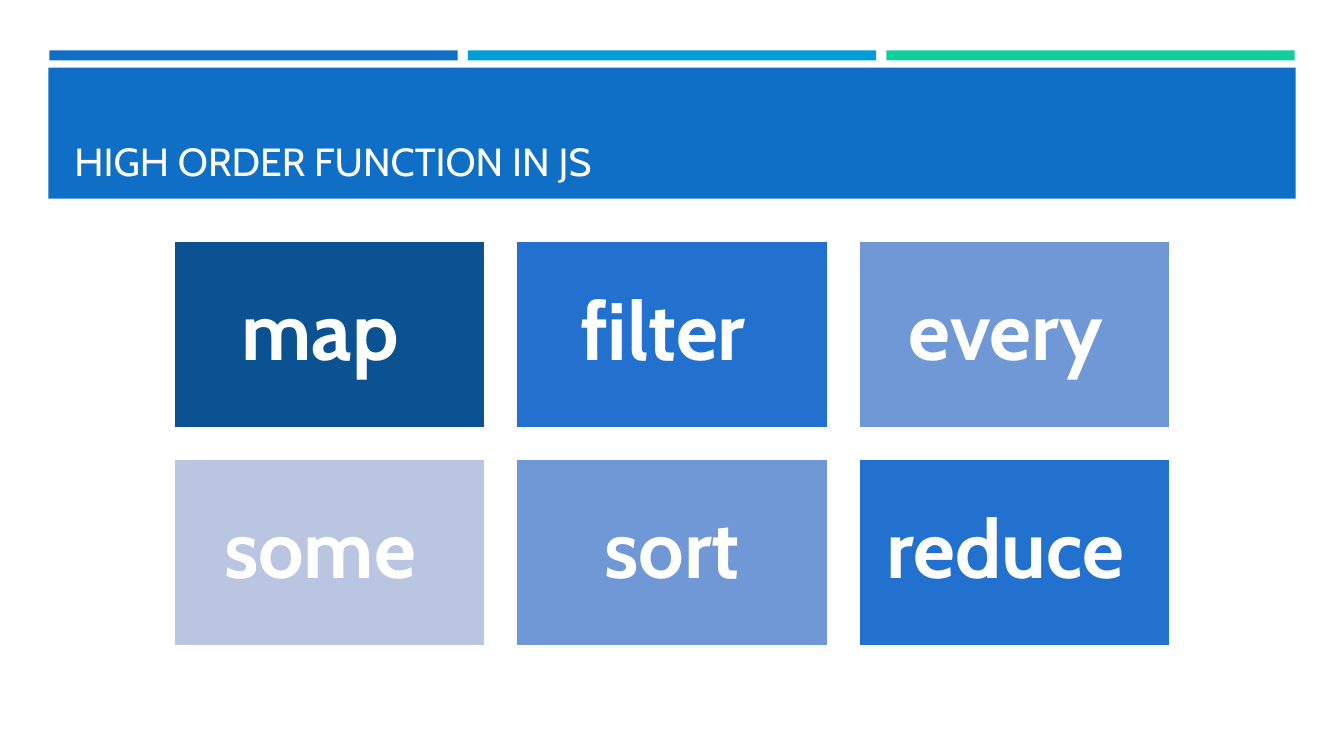
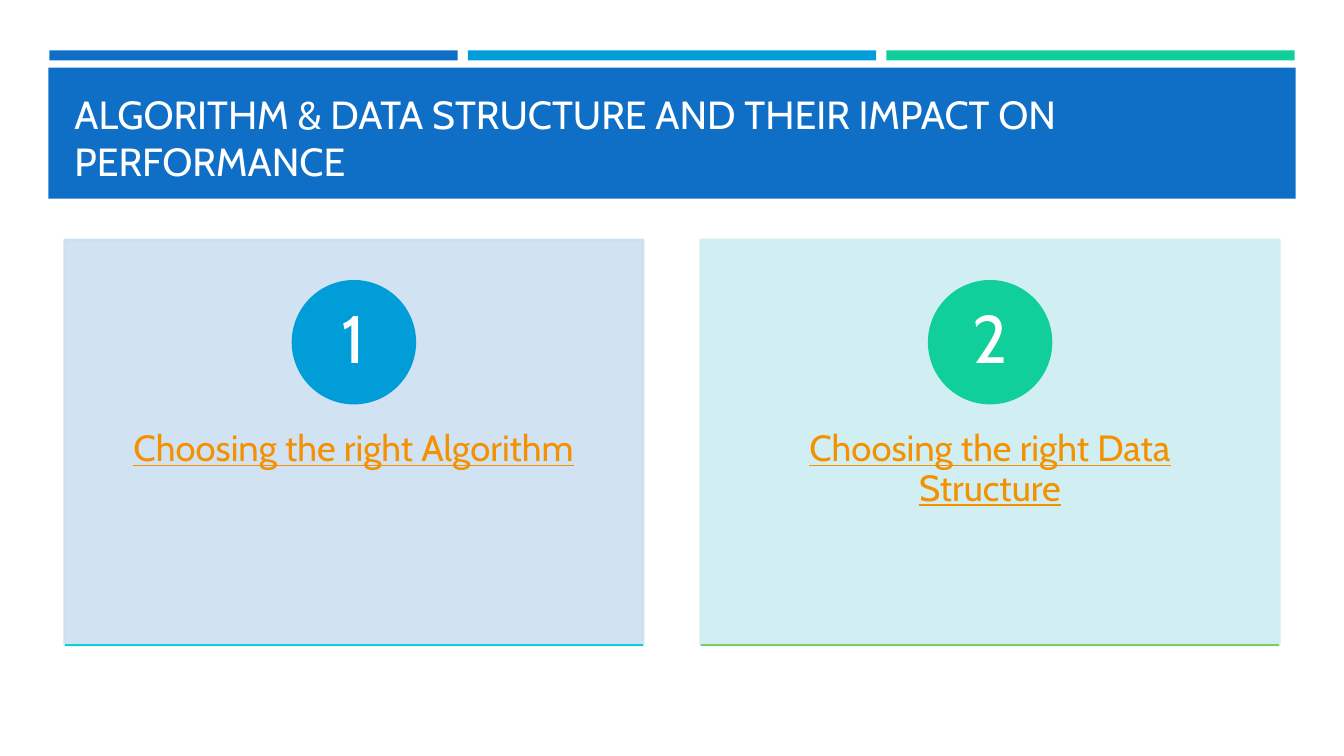
from dataclasses import dataclass
from typing import Any, Iterator, NamedTuple, Optional

from pptx import Presentation
from pptx.dml.color import RGBColor as Color
from pptx.enum.shapes import MSO_CONNECTOR as Connector, MSO_SHAPE as Preset
from pptx.enum.text import MSO_ANCHOR as Anchor, PP_ALIGN as Align
from pptx.oxml.ns import qn
from pptx.oxml.xmlchemy import OxmlElement
from pptx.slide import Slide
from pptx.util import Inches, Pt


@dataclass(frozen=True)
class Theme:
    """Colours, font, type sizes and line width of the deck."""

    blue: str = "0F6FC6"
    sky: str = "009DD9"
    green: str = "10CF9B"
    white: str = "FFFFFF"
    navy: str = "0B5292"
    royal: str = "2371CF"
    periwinkle: str = "7097D6"
    mist: str = "B9C5E1"
    pale_blue: str = "CCDFF1"
    pale_teal: str = "CCEEF1"
    cyan: str = "0BD0D9"
    leaf: str = "7CCA62"
    orange: str = "F49100"
    font: str = "Cabin"
    title_size: int = 28
    tile_size: int = 58
    number_size: int = 48
    caption_size: int = 26
    line_width: float = 1.75
    card_opacity: int = 90


THEME = Theme()


class Box(NamedTuple):
    """A rectangle in inches."""

    left: float
    top: float
    width: float
    height: float


@dataclass(frozen=True)
class Grid:
    """An area split into equal cells with even gaps."""

    area: Box
    columns: int
    rows: int = 1
    column_gap: float = 0
    row_gap: float = 0

    def cells(self) -> Iterator[Box]:
        """Yield the cells row by row."""
        width = (self.area.width - self.column_gap * (self.columns - 1)) / self.columns
        height = (self.area.height - self.row_gap * (self.rows - 1)) / self.rows
        for row in range(self.rows):
            for column in range(self.columns):
                yield Box(
                    self.area.left + column * (width + self.column_gap),
                    self.area.top + row * (height + self.row_gap),
                    width,
                    height,
                )


@dataclass(frozen=True)
class TextStyle:
    """How the text of a shape is set."""

    size: int
    color: str = THEME.white
    align: Align = Align.CENTER
    anchor: Anchor = Anchor.MIDDLE
    insets: tuple[float, float, float, float] = (0.1, 0.05, 0.1, 0.05)
    spacing: float = 0.9
    bold: bool = False
    underline: bool = False


class Tile(NamedTuple):
    """A coloured tile with one word."""

    word: str
    fill: str


class Card(NamedTuple):
    """A numbered card with a caption and a rule below."""

    number: str
    caption: str
    fill: str
    badge: str
    rule: str


SLIDE_WIDTH, SLIDE_HEIGHT = 13.33, 7.5
BARS = Grid(Box(0.49, 0.5, 12.35, 0.1), columns=3, column_gap=0.1)
BAND = Box(0.48, 0.67, 12.37, 1.3)
TITLE = Box(0.64, 0.77, 12.06, 1.11)
TILES = Grid(Box(1.72, 2.39, 9.89, 4.02), columns=3, rows=2, column_gap=0.31, row_gap=0.3)
CARDS = Grid(Box(0.64, 2.38, 12.05, 4.02), columns=2, column_gap=0.57)
BADGE_SIZE, BADGE_DROP = 1.21, 0.41

TITLE_STYLE = TextStyle(THEME.title_size, align=Align.LEFT, anchor=Anchor.BOTTOM, spacing=1.0)
TILE_STYLE = TextStyle(THEME.tile_size, insets=(0.24,) * 4, bold=True)
NUMBER_STYLE = TextStyle(THEME.number_size, insets=(0.09, 0.01, 0.09, 0.01))
CAPTION_STYLE = TextStyle(
    THEME.caption_size, THEME.orange, anchor=Anchor.TOP, insets=(0.45, 1.89, 0.45, 0.36), underline=True
)

HIGH_ORDER_TILES = (
    Tile("map ", THEME.navy),
    Tile("filter ", THEME.royal),
    Tile("every ", THEME.periwinkle),
    Tile("some ", THEME.mist),
    Tile("sort", THEME.periwinkle),
    Tile("reduce ", THEME.royal),
)
PERFORMANCE_CARDS = (
    Card("1", "Choosing the right Algorithm", THEME.pale_blue, THEME.sky, THEME.cyan),
    Card("2", "Choosing the right Data Structure", THEME.pale_teal, THEME.green, THEME.leaf),
)


def inches(box: Box) -> tuple[Inches, ...]:
    """Turn a box into lengths for python-pptx."""
    return tuple(Inches(length) for length in box)


def set_values(target: Any, values: dict[str, Any]) -> None:
    """Set each named attribute of the target."""
    for name, value in values.items():
        setattr(target, name, value)


def write_text(shape: Any, text: str, style: TextStyle) -> None:
    """Write one paragraph into a shape."""
    frame = shape.text_frame
    sides = ("margin_left", "margin_top", "margin_right", "margin_bottom")
    margins = {side: Inches(inset) for side, inset in zip(sides, style.insets)}
    set_values(frame, {"word_wrap": True, "vertical_anchor": style.anchor, **margins})
    paragraph = frame.paragraphs[0]
    set_values(paragraph, {"alignment": style.align, "line_spacing": style.spacing})
    run = paragraph.add_run()
    run.text = text
    set_values(
        run.font,
        {
            "name": THEME.font,
            "size": Pt(style.size),
            "bold": style.bold,
            "underline": style.underline,
        },
    )
    run.font.color.rgb = Color.from_string(style.color)


def set_line(line: Any, color: str) -> None:
    """Give a line its colour and the deck's width."""
    line.color.rgb = Color.from_string(color)
    line.width = Pt(THEME.line_width)


def add_block(
    slide: Slide, box: Box, fill: str, line: Optional[str] = None, preset: Preset = Preset.RECTANGLE
) -> Any:
    """Add a filled shape without a shadow."""
    shape = slide.shapes.add_shape(preset, *inches(box))
    shape.shadow.inherit = False
    shape.fill.solid()
    shape.fill.fore_color.rgb = Color.from_string(fill)
    if line:
        set_line(shape.line, line)
    else:
        shape.line.fill.background()
    return shape


def set_opacity(shape: Any, percent: int) -> None:
    """Make the fill and line of a shape partly transparent."""
    for color in shape.element.spPr.iter(qn("a:srgbClr")):
        alpha = OxmlElement("a:alpha")
        alpha.set("val", str(percent * 1000))
        color.append(alpha)


def add_rule(slide: Slide, box: Box, color: str) -> None:
    """Draw a line along the bottom of a box."""
    left, bottom, right = (Inches(x) for x in (box.left, box.top + box.height, box.left + box.width))
    rule = slide.shapes.add_connector(Connector.STRAIGHT, left, bottom, right, bottom)
    set_line(rule.line, color)
    rule.element.spPr.append(OxmlElement("a:effectLst"))


def add_titled_slide(presentation: Any, title: str) -> Slide:
    """Add a slide with the shared bars, band and title."""
    slide = presentation.slides.add_slide(presentation.slide_layouts[6])
    for box, color in zip(BARS.cells(), (THEME.blue, THEME.sky, THEME.green)):
        add_block(slide, box, color)
    add_block(slide, BAND, THEME.blue)
    write_text(slide.shapes.add_textbox(*inches(TITLE)), title, TITLE_STYLE)
    return slide


def add_tile(slide: Slide, box: Box, tile: Tile) -> None:
    """Draw a word tile."""
    write_text(add_block(slide, box, tile.fill, THEME.white), tile.word, TILE_STYLE)


def add_card(slide: Slide, box: Box, card: Card) -> None:
    """Draw a card with its badge and rule."""
    panel = add_block(slide, box, card.fill, card.fill)
    set_opacity(panel, THEME.card_opacity)
    write_text(panel, card.caption, CAPTION_STYLE)
    badge_left = box.left + (box.width - BADGE_SIZE) / 2
    badge_box = Box(badge_left, box.top + BADGE_DROP, BADGE_SIZE, BADGE_SIZE)
    badge = add_block(slide, badge_box, card.badge, card.badge, Preset.OVAL)
    write_text(badge, card.number, NUMBER_STYLE)
    add_rule(slide, box, card.rule)


def main() -> None:
    """Build and save the presentation."""
    presentation = Presentation()
    set_values(
        presentation, {"slide_width": Inches(SLIDE_WIDTH), "slide_height": Inches(SLIDE_HEIGHT)}
    )
    slide = add_titled_slide(presentation, "HIGH ORDER FUNCTION IN JS")
    for box, tile in zip(TILES.cells(), HIGH_ORDER_TILES):
        add_tile(slide, box, tile)
    slide = add_titled_slide(
        presentation, "ALGORITHM & DATA STRUCTURE AND THEIR IMPACT ON PERFORMANCE"
    )
    for box, card in zip(CARDS.cells(), PERFORMANCE_CARDS):
        add_card(slide, box, card)
    presentation.save("out.pptx")


if __name__ == "__main__":
    main()
